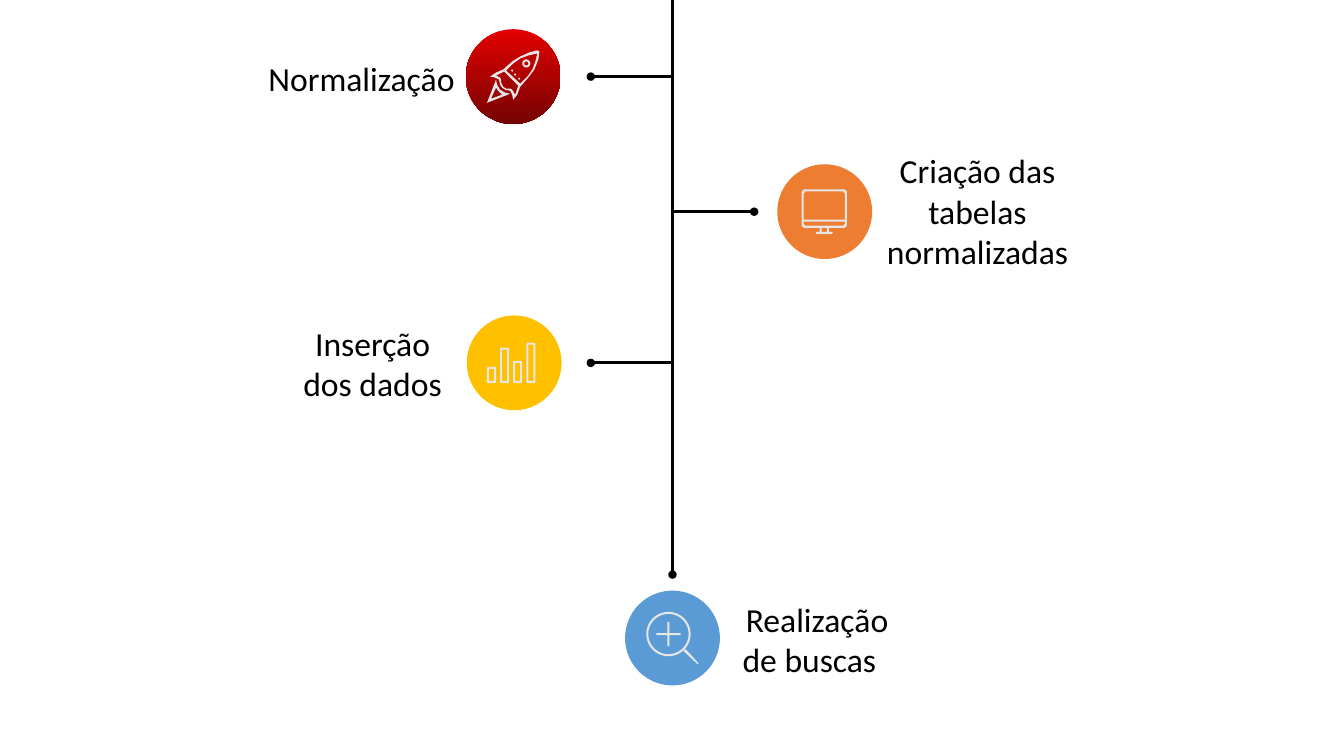
from math import cos, pi, sin

from lxml.etree import SubElement
from pptx import Presentation
from pptx.dml.color import RGBColor
from pptx.enum.shapes import MSO_CONNECTOR as Link, MSO_SHAPE as Shape
from pptx.enum.text import MSO_AUTO_SIZE as Fit, PP_ALIGN as Align
from pptx.oxml.ns import qn
from pptx.util import Inches, Pt


def color(code):
    return RGBColor.from_string(code)


def box(x, y, w, h, cut=0):
    """Corner points of a rectangle, with corners cut off if asked."""
    r, b = x + w, y + h
    if not cut:
        return [(x, y), (r, y), (r, b), (x, b)]
    return [(x + cut, y), (r - cut, y), (r, y + cut), (r, b - cut),
            (r - cut, b), (x + cut, b), (x, b - cut), (x, y + cut)]


def ring(x, y, r, n=48):
    """Points around a circle."""
    return [(x + r * cos(2 * pi * i / n), y + r * sin(2 * pi * i / n))
            for i in range(n)]


def rocket():
    body = [(5.35, 0.51), (5.33, 0.5), (5.25, 0.52), (5.16, 0.56), (5.08, 0.61),
            (4.99, 0.69), (4.92, 0.72), (4.86, 0.76), (4.91, 0.77), (4.95, 0.79),
            (4.96, 0.84), (4.98, 0.87), (5.01, 0.89), (5.06, 0.9), (5.08, 0.94),
            (5.09, 0.99), (5.13, 0.94), (5.16, 0.86), (5.24, 0.77), (5.3, 0.69),
            (5.34, 0.59)]
    fins = [(5.14, 0.85), (5.11, 0.94), (5.08, 0.89), (5.06, 0.88), (5.02, 0.88),
            (4.99, 0.86), (4.97, 0.82), (4.97, 0.79), (4.96, 0.77), (4.92, 0.75),
            (5, 0.71)]
    nose = [(5.23, 0.76), (5.16, 0.83), (5.02, 0.7), (5.09, 0.63), (5.16, 0.58),
            (5.24, 0.55), (5.33, 0.53), (5.31, 0.61), (5.28, 0.69)]
    flame = [(4.92, 0.79), (4.83, 1.02), (5.06, 0.93), (5.01, 0.92), (4.96, 0.89),
             (4.93, 0.84)]
    core = [(4.87, 0.98), (4.92, 0.87), (4.94, 0.9), (4.98, 0.94)]
    dots = [ring(x, y, 0.01, 12) for x, y in [(5.08, 0.7), (5.11, 0.74), (5.15, 0.78)]]
    port = [ring(5.22, 0.63, r) for r in (0.04, 0.02)]
    return [body, fins, nose, flame, core, *port, *dots]


def screen():
    stand = [(8.13, 2.26), (8.13, 2.3), (8.1, 2.3), (8.09, 2.31), (8.1, 2.32),
             (8.25, 2.32), (8.26, 2.31), (8.25, 2.3), (8.22, 2.3), (8.22, 2.26)]
    base = [(7.97, 2.2), (8.38, 2.2), (8.38, 2.22), (8.36, 2.24), (7.99, 2.24),
            (7.97, 2.22)]
    view = [(7.97, 2.18), (7.97, 1.92), (7.99, 1.9), (8.36, 1.9), (8.38, 1.92),
            (8.38, 2.18)]
    return [box(7.95, 1.88, 0.45, 0.38, 0.02), base, view, stand,
            box(8.15, 2.26, 0.05, 0.04)]


def bars():
    parts = []
    for i, top in enumerate([3.64, 3.45, 3.58, 3.4]):
        x, h = 4.83 + 0.13 * i, 3.8 - top
        parts += [box(x, top, 0.09, h, 0.01),
                  box(x + 0.02, top + 0.02, 0.05, h - 0.04)]
    return parts


def lens():
    x, y, arm, half = 6.63, 6.29, 0.12, 0.01
    plus = [(x - half, y - arm), (x + half, y - arm), (x + half, y - half),
            (x + arm, y - half), (x + arm, y + half), (x + half, y + half),
            (x + half, y + arm), (x - half, y + arm), (x - half, y + half),
            (x - arm, y + half), (x - arm, y - half), (x - half, y - half)]
    grip = [(6.8, 6.44), (6.92, 6.57), (6.93, 6.58), (6.92, 6.59), (6.91, 6.58),
            (6.78, 6.46)]
    return [ring(x, y, 0.22), ring(x, y, 0.2), plus, grip]


class Board:
    font, size, ink, pale = "Calibri", Pt(24), "000000", "E7E6E6"

    def __init__(self, slide):
        self.shapes = slide.shapes

    def label(self, text, x, y, w, h):
        frame = self.shapes.add_textbox(*map(Inches, (x, y, w, h))).text_frame
        frame.word_wrap = True
        frame.auto_size = Fit.SHAPE_TO_FIT_TEXT
        par = frame.paragraphs[0]
        par.text = text
        par.alignment = Align.CENTER
        par.font.name, par.font.size = self.font, self.size
        par.font.color.rgb = color(self.ink)

    def line(self, start, end, dot="headEnd"):
        """Straight line with a round dot at one end."""
        link = self.shapes.add_connector(Link.STRAIGHT, *map(Inches, start + end))
        link.line.color.rgb = color(self.ink)
        link.line.width = Pt(2)
        props = link._element.spPr
        SubElement(props.find(qn("a:ln")), qn("a:" + dot), type="oval")
        SubElement(props, qn("a:effectLst"))

    def disc(self, x, y, *tones):
        """Circle in one tone, or in two shaded from top to bottom."""
        disc = self.shapes.add_shape(
            Shape.OVAL, *map(Inches, (x, y, 0.94, 0.94)))
        disc.shadow.inherit = False
        disc.line.fill.background()
        if len(tones) == 1:
            disc.fill.solid()
            disc.fill.fore_color.rgb = color(tones[0])
            return
        disc.fill.gradient()
        disc.fill.gradient_angle = 270
        for stop, tone, place in zip(disc.fill.gradient_stops, tones, (0, 1)):
            stop.color.rgb = color(tone)
            stop.position = place

    def icon(self, parts):
        """One shape from several outlines; inner outlines become holes."""
        parts = [[(Inches(x), Inches(y)) for x, y in part] for part in parts]
        pen = self.shapes.build_freeform(*parts[0][0])
        for i, part in enumerate(parts):
            if i:
                pen.move_to(*part[0])
            pen.add_line_segments(part[1:], close=True)
        icon = pen.convert_to_shape()
        icon.shadow.inherit = False
        icon.fill.solid()
        icon.fill.fore_color.rgb = color(self.pale)
        icon.line.fill.background()


def main():
    deck = Presentation()
    deck.slide_width, deck.slide_height = Inches(13.33), Inches(7.5)
    board = Board(deck.slides.add_slide(deck.slide_layouts[6]))

    board.label("Criação das tabelas normalizadas", 8.45, 1.44, 2.49, 1.31)
    board.label("Inserção dos dados", 2.77, 3.15, 1.85, 1.31)
    board.label(" Realização de buscas ", 7.14, 5.89, 1.85, 0.91)
    board.label("Normalização", 2.34, 0.53, 2.49, 0.5)

    axis = 6.67
    board.line((axis, 0), (axis, 5.7), "tailEnd")
    for side, y in [(-1, 3.6), (1, 2.1), (-1, 0.76)]:
        board.line((axis + side * 0.81, y), (axis, y))

    steps = [(4.62, 0.29, ["E30000", "760303"], rocket),
             (7.71, 1.63, ["ED7D31"], screen),
             (4.63, 3.13, ["FFC000"], bars),
             (6.2, 5.86, ["5B9BD5"], lens)]
    for x, y, tones, draw in steps:
        board.disc(x, y, *tones)
        board.icon(draw())

    deck.save("out.pptx")


if __name__ == "__main__":
    main()
